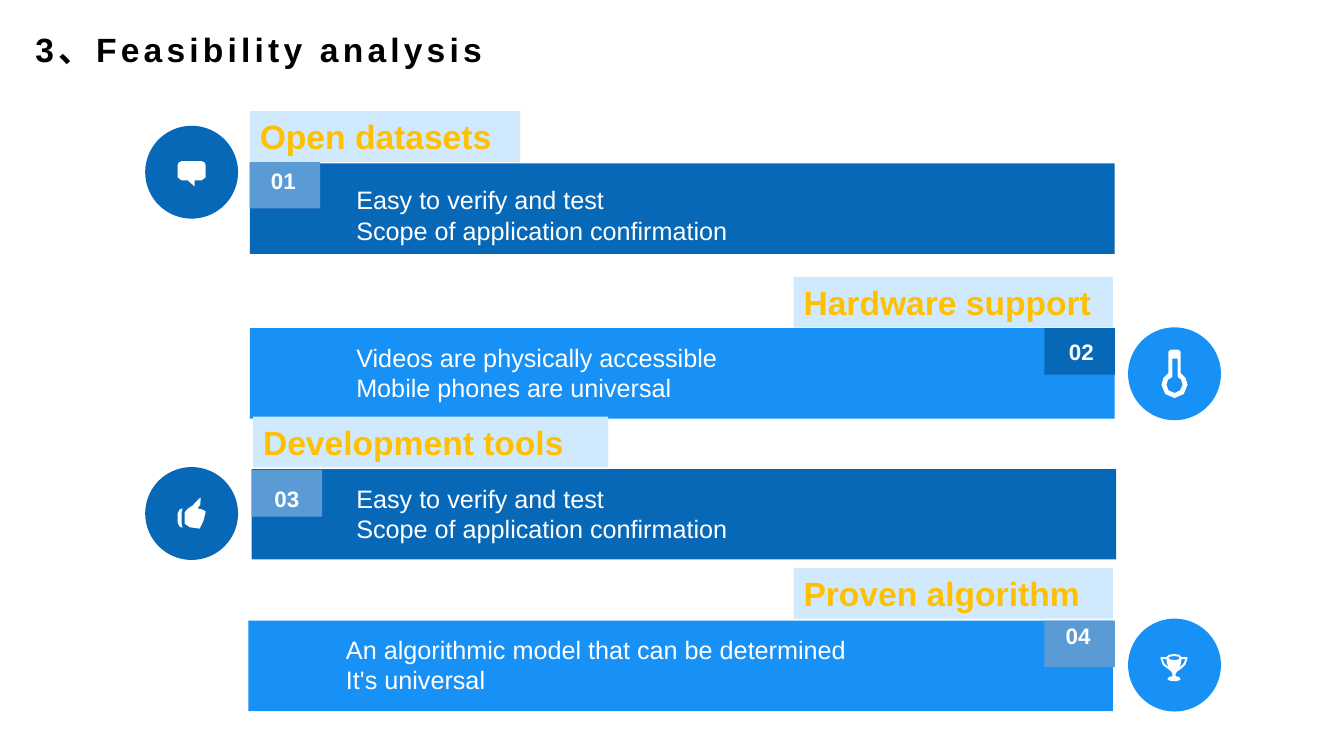
import dataclasses
import math

import pptx
import pptx.dml.color
import pptx.enum.shapes
import pptx.enum.text
import pptx.util

Cm = pptx.util.Cm
Pt = pptx.util.Pt
Align = pptx.enum.text.PP_ALIGN
Anchor = pptx.enum.text.MSO_ANCHOR
Shape = pptx.enum.shapes.MSO_SHAPE


@dataclasses.dataclass(frozen=True)
class Theme:
    font: str = "Arial"
    dark: str = "0868B8"
    bright: str = "1791F5"
    muted: str = "5B9BD5"
    pale: str = "D1E9FD"
    gold: str = "FFC000"
    white: str = "FFFFFF"
    black: str = "000000"
    heading_size: int = 24
    body_size: int = 18
    number_size: int = 16


THEME = Theme()
BAND_WIDTH, BAND_HEIGHT = 21.79, 2.28
DISC = 2.34
ICON_UNIT = 0.0254
SHORT_CURVE = 5

BUBBLE = ["M 10 -11 L -10 -11 C -12 -11 -14 -9 -14 -7 L -14 5 C -14 7 -12 8 -10 8 "
          "L -4 8 L 3 14 L 3 8 L 10 8 C 12 8 14 7 14 5 L 14 -7 C 14 -9 12 -11 10 -11"]
THERMOMETER = ["M 0 19 C -5 19 -8 15 -8 11 C -8 7 -6 4 -2 3 L -2 -15 L 3 -15 L 3 3 "
               "C 6 4 8 7 8 11 C 8 15 4 19 0 19",
               "M 6 -1 L 6 -22 C 6 -23 5 -24 4 -24 L -4 -24 C -6 -24 -6 -23 -6 -22 "
               "L -6 -1 C -10 2 -13 6 -13 11 C -13 18 -7 24 0 24 C 7 24 13 18 13 11 "
               "C 13 6 10 2 6 -1"]
THUMB = ["M -9 -5 C -10 -5 -14 -4 -14 0 L -14 9 C -14 13 -10 14 -9 14 "
         "C -8 14 -10 13 -10 10 L -10 -1 C -10 -4 -8 -5 -9 -5",
         "M 6 -5 C 6 -6 12 -11 9 -16 C 8 -17 5 -11 1 -8 C -2 -6 -7 -3 -7 -1 L -7 10 "
         "C -7 13 2 15 8 15 C 10 15 14 0 14 -2 C 14 -5 6 -4 6 -5"]
TROPHY = ["M -12 -6 L -8 -6 C -8 -3 -7 0 -6 2 C -9 0 -11 -2 -12 -6",
          "M 0 -9 C 4 -9 5 -8 5 -7 C 5 -6 4 -5 0 -5 C -4 -5 -6 -6 -6 -7 C -6 -8 -4 -9 0 -9",
          "M 5 2 C 6 0 7 -3 7 -6 L 11 -6 C 10 -2 8 0 5 2",
          "M 1 9 C 1 7 3 6 6 4 C 9 2 13 -1 13 -7 C 13 -8 12 -8 12 -8 L 7 -8 "
          "C 6 -10 4 -11 0 -11 C -5 -11 -7 -10 -8 -8 L -13 -8 C -13 -8 -14 -8 -14 -7 "
          "C -14 -1 -10 2 -6 4 C -4 6 -2 7 -2 9 L -2 11 C -5 11 -7 12 -7 14 "
          "C -7 15 -4 16 0 16 C 3 16 6 15 6 14 C 6 12 4 11 1 11 L 1 9"]

VERIFY = ["Easy to verify and test", "Scope of application confirmation"]
REASONS = [
    dict(band=(6.3, 4.12), color=THEME.dark, badge_color=THEME.muted,
         heading="Open datasets", heading_at=(0, -1.32), heading_width=6.81,
         number="01", badge_at=(-0.01, -0.04), number_at=(-0.01, 0.05),
         body=VERIFY, body_at=(2.43, 0.41), icon=BUBBLE, disc_at=(-2.64, -0.95)),
    dict(band=(6.3, 8.27), color=THEME.bright, badge_color=THEME.dark,
         heading="Hardware support", heading_at=(13.7, -1.29), heading_width=8.05,
         number="02", badge_at=(20.02, 0), number_at=(20.1, 0.21),
         body=["Videos are physically accessible", "Mobile phones are universal"],
         body_at=(2.43, 0.22), icon=THERMOMETER, disc_at=(22.13, -0.02)),
    dict(band=(6.34, 11.82), color=THEME.dark, badge_color=THEME.muted,
         heading="Development tools", heading_at=(0.04, -1.32), heading_width=8.95,
         number="03", badge_at=(0, 0.03), number_at=(0.04, 0.36),
         body=VERIFY, body_at=(2.39, 0.23), icon=THUMB, disc_at=(-2.68, -0.05)),
    dict(band=(6.26, 15.64), color=THEME.bright, badge_color=THEME.muted,
         heading="Proven algorithm", heading_at=(13.74, -1.33), heading_width=8.05,
         number="04", badge_at=(20.06, 0), number_at=(20.06, 0.01),
         body=["An algorithmic model that can be determined", "It's universal"],
         body_at=(2.21, 0.21), icon=TROPHY, disc_at=(22.17, -0.05)),
]


def rgb(color):
    return pptx.dml.color.RGBColor.from_string(color)


def apply_formats(target, formats):
    for name, value in formats.items():
        setattr(target, name, value)


def paint(figure, color):
    figure.shadow.inherit = False
    figure.fill.solid()
    figure.fill.fore_color.rgb = rgb(color)
    figure.line.fill.background()


def add_block(slide, preset, left, top, width, height, color):
    block = slide.shapes.add_shape(preset, Cm(left), Cm(top), Cm(width), Cm(height))
    paint(block, color)
    return block


def write(frame, lines, size, color, bold=False, anchor=Anchor.TOP, **paragraph_formats):
    apply_formats(frame, {"word_wrap": True, "vertical_anchor": anchor,
                          "auto_size": pptx.enum.text.MSO_AUTO_SIZE.NONE})
    frame.text = "\n".join(lines)
    for paragraph in frame.paragraphs:
        apply_formats(paragraph, {"alignment": Align.LEFT, **paragraph_formats})
        for run in paragraph.runs:
            apply_formats(run.font, {"name": THEME.font, "size": Pt(size), "bold": bold})
            run.font.color.rgb = rgb(color)


def add_caption(slide, left, top, width, height, *args, **formats):
    caption = slide.shapes.add_textbox(Cm(left), Cm(top), Cm(width), Cm(height))
    write(caption.text_frame, *args, **formats)


def flatten(outline):
    points = []
    tokens = iter(outline.split())
    for command in tokens:
        count = 3 if command == "C" else 1
        ends = [(int(next(tokens)), int(next(tokens))) for _ in range(count)]
        if command == "C" and math.dist(points[-1], ends[-1]) > SHORT_CURVE:
            controls = [points[-1]] + ends
            points.append(tuple(sum(w * c[axis] for w, c in zip((1, 3, 3, 1), controls)) / 8
                                for axis in (0, 1)))
        points.append(ends[-1])
    return points[:-1] if points[-1] == points[0] else points


def add_icon(slide, center_x, center_y, outlines):
    contours = [[(Cm(center_x + x * ICON_UNIT), Cm(center_y + y * ICON_UNIT))
                 for x, y in flatten(outline)] for outline in outlines]
    builder = slide.shapes.build_freeform(*contours[0][0])
    for index, contour in enumerate(contours):
        if index:
            builder.move_to(*contour[0])
        builder.add_line_segments(contour[1:], close=True)
    paint(builder.convert_to_shape(), THEME.white)


def add_reason(slide, reason):
    left, top = reason["band"]

    def place(part):
        dx, dy = reason[part]
        return left + dx, top + dy

    disc_left, disc_top = place("disc_at")
    add_block(slide, Shape.OVAL, disc_left, disc_top, DISC, DISC, reason["color"])
    add_icon(slide, disc_left + DISC / 2, disc_top + DISC / 2, reason["icon"])
    add_block(slide, Shape.RECTANGLE, left, top, BAND_WIDTH, BAND_HEIGHT, reason["color"])
    add_block(slide, Shape.RECTANGLE, *place("badge_at"), 1.78, 1.17, reason["badge_color"])
    add_caption(slide, *place("number_at"), 1.7, 0.84, [reason["number"]],
                THEME.number_size, THEME.white, bold=True, anchor=Anchor.MIDDLE,
                alignment=Align.CENTER, line_spacing=0.9, space_before=Pt(10))
    heading = add_block(slide, Shape.RECTANGLE, *place("heading_at"),
                        reason["heading_width"], 1.28, THEME.pale)
    write(heading.text_frame, [reason["heading"]], THEME.heading_size, THEME.gold, bold=True)
    add_caption(slide, *place("body_at"), 16.94, 1.8, reason["body"],
                THEME.body_size, THEME.white)


def add_title(slide, left, top, width, height):
    title = slide.shapes.title
    apply_formats(title, {"left": Cm(left), "top": Cm(top),
                          "width": Cm(width), "height": Cm(height)})
    write(title.text_frame, ["3、Feasibility analysis"], THEME.heading_size,
          THEME.black, bold=True)
    title.text_frame.paragraphs[0].runs[0]._r.get_or_add_rPr().set("spc", "300")


def main():
    deck = pptx.Presentation()
    apply_formats(deck, {"slide_width": Cm(33.87), "slide_height": Cm(19.05)})
    slide = deck.slides.add_slide(deck.slide_layouts[5])
    add_title(slide, 0.64, 0.61, 13.28, 2.31)
    for reason in REASONS:
        add_reason(slide, reason)
    deck.save("out.pptx")


if __name__ == "__main__":
    main()
